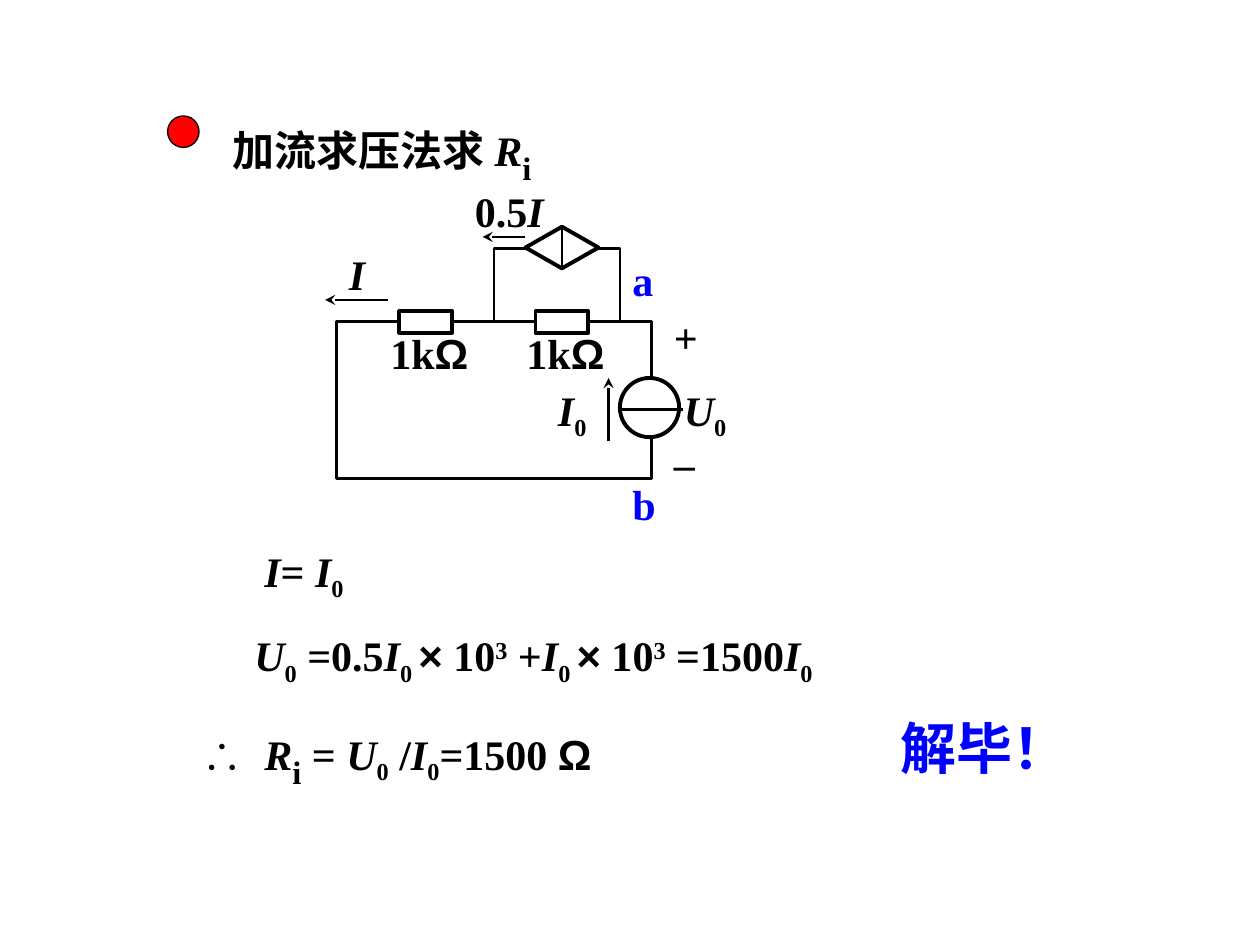
import pptx
import pptx.dml.color
import pptx.enum.shapes
import pptx.enum.text
import pptx.oxml.ns
import pptx.util
from lxml import etree
from pptx.util import Inches, Pt

COLORS = {"ink": "000000", "accent": "0000FF", "marker": "FF0000", "paper": "FFFFFF"}
SERIF = "Times New Roman"
SANS = "Arial"
SHAPE = pptx.enum.shapes.MSO_SHAPE

# Run styles: each function-free entry describes how a run differs from its paragraph.
ITALIC = {"italic": True}
SUB = {"baseline": -25000}
SUP = {"baseline": 30000}
BIG_SUB = {"baseline": -25000, "size": 32}
SYMBOL = {"name": SANS}
PLAIN = {}
ZERO = ("0", SUB)
I = ("I", ITALIC)
U = ("U", ITALIC)
R_INPUT = [("R", ITALIC), ("i", BIG_SUB)]
OHM = ("Ω", SYMBOL)
TIMES_THOUSAND = [("0 ", SUB), ("×", SYMBOL), (" 10", PLAIN), ("3", SUP)]


def rgb(color):
    return pptx.dml.color.RGBColor.from_string(COLORS[color])


def add_text(slide, left, top, width, height, runs, color="ink", size=24, tab=None):
    """Add a bold one-line text box; runs are (text, style) pairs."""
    shape = slide.shapes.add_textbox(Inches(left), Inches(top), Inches(width), Inches(height))
    frame = shape.text_frame
    frame.word_wrap = True
    paragraph = frame.paragraphs[0]
    if tab:
        tab_list = etree.SubElement(paragraph._p.get_or_add_pPr(), pptx.oxml.ns.qn("a:tabLst"))
        etree.SubElement(tab_list, pptx.oxml.ns.qn("a:tab"), pos=str(Inches(tab)), algn="l")
    paragraph.font.name = SERIF
    paragraph.font.size = Pt(size)
    paragraph.font.bold = True
    paragraph.font.color.rgb = rgb(color)
    for text, style in runs:
        run = paragraph.add_run()
        run.text = text
        if "italic" in style:
            run.font.italic = True
        if "name" in style:
            run.font.name = style["name"]
        if "size" in style:
            run.font.size = Pt(style["size"])
        if "baseline" in style:
            run._r.get_or_add_rPr().set("baseline", str(style["baseline"]))
    return shape


def add_outline(slide, kind, left, top, width, height, weight, fill=None):
    shape = slide.shapes.add_shape(kind, Inches(left), Inches(top), Inches(width), Inches(height))
    shape.shadow.inherit = False
    if fill:
        shape.fill.solid()
        shape.fill.fore_color.rgb = rgb(fill)
    else:
        shape.fill.background()
    shape.line.color.rgb = rgb("ink")
    shape.line.width = Pt(weight)


def add_line(slide, x1, y1, x2, y2, weight=1.5, arrow=False):
    connector = slide.shapes.add_connector(
        pptx.enum.shapes.MSO_CONNECTOR.STRAIGHT, Inches(x1), Inches(y1), Inches(x2), Inches(y2))
    connector.line.color.rgb = rgb("ink")
    connector.line.width = Pt(weight)
    if arrow:
        etree.SubElement(connector.line._get_or_add_ln(), pptx.oxml.ns.qn("a:tailEnd"), type="stealth")
    etree.SubElement(connector._element.spPr, pptx.oxml.ns.qn("a:effectLst"))


def add_heading(slide, left, top):
    add_outline(slide, SHAPE.OVAL, left, top + 0.09, 0.25, 0.25, 0.75, "marker")
    add_text(slide, left + 0.42, top, 2.92, 0.71, [("加流求压法求 ", PLAIN)] + R_INPUT)


def add_circuit(slide, left, top):
    """Draw the loop, its two resistors, both sources and all labels."""
    def outline(kind, x, y, *rest):
        add_outline(slide, kind, left + x, top + y, *rest)

    def line(x1, y1, x2, y2, **options):
        add_line(slide, left + x1, top + y1, left + x2, top + y2, **options)

    def label(x, y, width, height, runs, color="ink"):
        add_text(slide, left + x, top + y, width, height, runs, color)

    # Wires
    outline(SHAPE.RECTANGLE, 1.34, 0.55, 1, 0.58, 1.5)
    outline(SHAPE.RECTANGLE, 0.09, 1.13, 2.5, 1.25, 1.5)
    line(0.09, 1.55, 0.09, 2.05)

    # Resistors
    for x in (0.59, 1.67):
        outline(SHAPE.RECTANGLE, x, 1.05, 0.42, 0.17, 2.25, "paper")
        label(x - 0.17, 1.13, 0.92, 0.5, [("1k", PLAIN), OHM])

    # Dependent current source
    outline(SHAPE.DIAMOND, 1.59, 0.38, 0.58, 0.33, 2.25, "paper")
    line(1.88, 0.38, 1.88, 0.71, weight=0.75)

    # Applied current source
    outline(SHAPE.OVAL, 2.34, 1.58, 0.47, 0.47, 2.25, "paper")
    line(2.34, 1.83, 2.84, 1.83)

    # Current directions
    line(1.59, 0.46, 1.25, 0.46, arrow=True)
    line(0.5, 0.96, 0, 0.96, arrow=True)
    line(2.25, 2.08, 2.25, 1.58, arrow=True)

    label(1.09, 0, 0.83, 0.5, [("0.5", PLAIN), I])
    label(0.09, 0.5, 0.33, 0.5, [I])
    label(1.75, 1.58, 0.58, 0.56, [I, ZERO])
    label(2.75, 1.58, 0.67, 0.56, [U, ZERO])
    label(2.34, 0.55, 0.5, 0.5, [("a", PLAIN)], "accent")
    label(2.34, 2.33, 0.42, 0.5, [("b", PLAIN)], "accent")
    label(2.67, 1, 0.33, 0.5, [("+", PLAIN)])
    label(2.67, 2, 0.42, 0.5, [("–", PLAIN)])


def add_derivation(slide, left, top):
    add_text(slide, left + 0.5, top, 1, 0.56, [I, ("= ", PLAIN), I, ZERO])
    add_text(slide, left + 0.42, top + 0.67, 4.92, 0.56,
             [U, ZERO, (" =0.5", PLAIN), I] + TIMES_THOUSAND
             + [(" +", PLAIN), I] + TIMES_THOUSAND + [(" =1500", PLAIN), I, ZERO])
    add_text(slide, left, top + 1.34, 3.5, 0.71,
             [("∴\t", SYMBOL)] + R_INPUT
             + [(" = ", PLAIN), U, ZERO, (" /", PLAIN), I, ZERO, ("=1500 ", PLAIN), OHM],
             tab=0.5)


def add_closing(slide, left, top):
    shape = add_text(slide, left, top, 1.53, 0.64, [("解毕！", PLAIN)], "accent", 32)
    frame = shape.text_frame
    frame.word_wrap = False
    frame.vertical_anchor = pptx.enum.text.MSO_ANCHOR.MIDDLE
    frame.paragraphs[0].alignment = pptx.enum.text.PP_ALIGN.CENTER


def main():
    presentation = pptx.Presentation()
    presentation.slide_width = Inches(10)
    presentation.slide_height = Inches(7.5)
    slide = presentation.slides.add_slide(presentation.slide_layouts[6])
    add_heading(slide, 1.33, 0.83)
    add_circuit(slide, 2.58, 1.42)
    add_derivation(slide, 1.5, 4.28)
    add_closing(slide, 6.83, 5.61)
    presentation.save("out.pptx")


if __name__ == "__main__":
    main()
